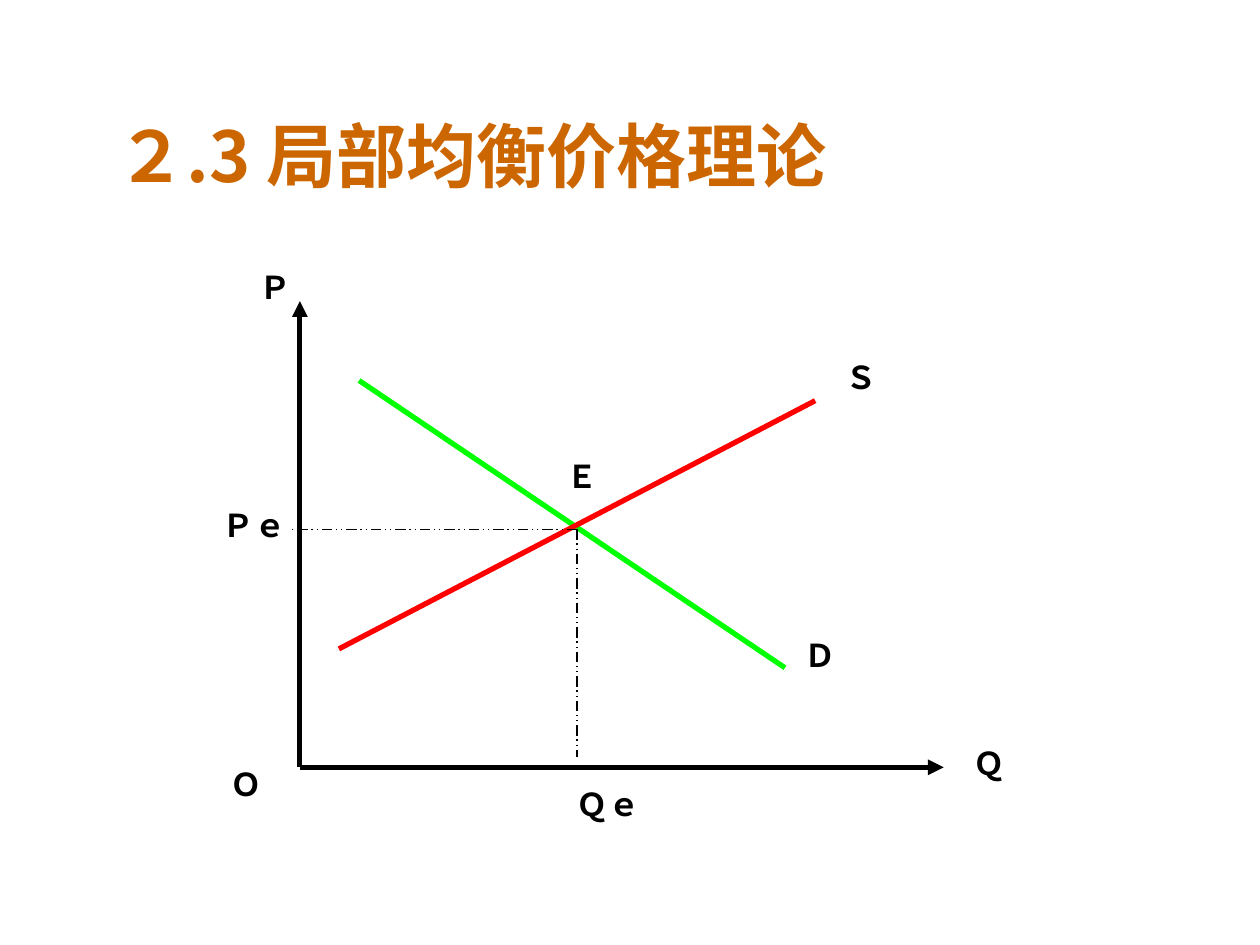
from lxml.etree import SubElement
from pptx import Presentation
from pptx.dml.color import RGBColor
from pptx.enum.dml import MSO_LINE
from pptx.enum.shapes import MSO_CONNECTOR
from pptx.enum.text import MSO_ANCHOR
from pptx.oxml.ns import qn
from pptx.util import Inches, Pt

COLORS = {"ink": "000000", "title": "CC6600", "demand": "00FF00", "supply": "FF0000"}
EAST_ASIAN_FONT = "Noto Sans CJK SC"


class DiagramPage:
    def __init__(self, page):
        self.page = page

    def text(self, words, left, top, width, height, size=18, color="ink",
             font="Arial", wrap=False, anchor=MSO_ANCHOR.TOP):
        box = self.page.shapes.add_textbox(
            Inches(left), Inches(top), Inches(width), Inches(height))
        frame = box.text_frame
        frame.word_wrap = wrap
        frame.vertical_anchor = anchor
        paragraph = frame.paragraphs[0]
        span = paragraph.add_run()
        span.text = words
        span.font.name = font
        span.font.size = Pt(size)
        span.font.bold = True
        span.font.color.rgb = RGBColor.from_string(COLORS[color])
        properties = span.font._element
        SubElement(properties, qn("a:ea")).set("typeface", EAST_ASIAN_FONT)

    def line(self, start, end, color="ink", weight=3, dash=None, arrow=False):
        connector = self.page.shapes.add_connector(
            MSO_CONNECTOR.STRAIGHT, *map(Inches, start + end))
        connector.line.color.rgb = RGBColor.from_string(COLORS[color])
        connector.line.width = Pt(weight)
        if dash:
            connector.line.dash_style = dash
        if arrow:
            outline = connector.line._get_or_add_ln()
            SubElement(outline, qn("a:tailEnd")).set("type", "triangle")
        SubElement(connector._element.spPr, qn("a:effectLst"))

    def axis(self, start, end):
        self.line(start, end, arrow=True)

    def guide(self, start, end):
        self.line(start, end, weight=0.75, dash=MSO_LINE.DASH_DOT_DOT)

    def label(self, words, left, top):
        self.text(words, left, top, 0.2 + 0.25 * len(words), 0.4)


def main():
    deck = Presentation()
    deck.slide_width, deck.slide_height = Inches(10), Inches(7.5)
    diagram = DiagramPage(deck.slides.add_slide(deck.slide_layouts[6]))

    origin = (2.38, 6.09)
    equilibrium = (4.58, 4.2)
    diagram.axis(origin, (7.49, origin[1]))
    diagram.axis(origin, (origin[0], 2.39))
    diagram.line((2.85, 3.02), (6.23, 5.3), "demand")
    diagram.line((2.69, 5.15), (6.47, 3.18), "supply")
    diagram.guide(equilibrium, (equilibrium[0], 6.01))
    diagram.guide(equilibrium, (2.3, equilibrium[1]))

    for words, left, top in [
        ("Ｏ", 1.73, 6.02), ("Ｑ", 7.63, 5.86), ("Ｐ", 1.96, 2.08),
        ("Ｅ", 4.4, 3.58), ("Ｑｅ", 4.48, 6.18), ("Ｐｅ", 1.67, 3.97),
        ("Ｓ", 6.61, 2.79), ("Ｄ", 6.29, 5),
    ]:
        diagram.label(words, left, top)

    diagram.text("２.3 局部均衡价格理论", 0.83, 0.75, 8, 0.95, size=40, color="title",
                 font=EAST_ASIAN_FONT, wrap=True, anchor=MSO_ANCHOR.MIDDLE)
    deck.save("out.pptx")


if __name__ == "__main__":
    main()
